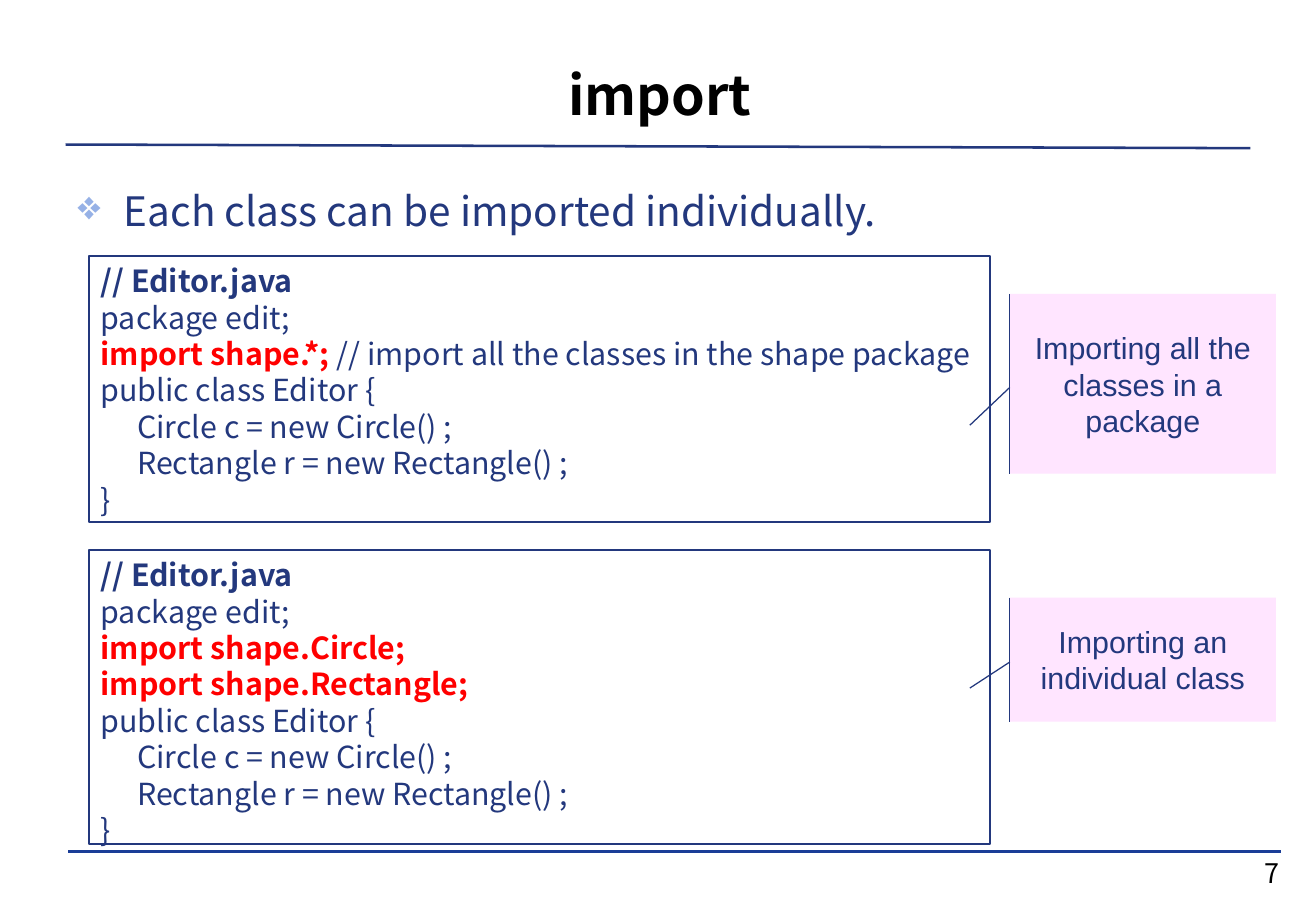
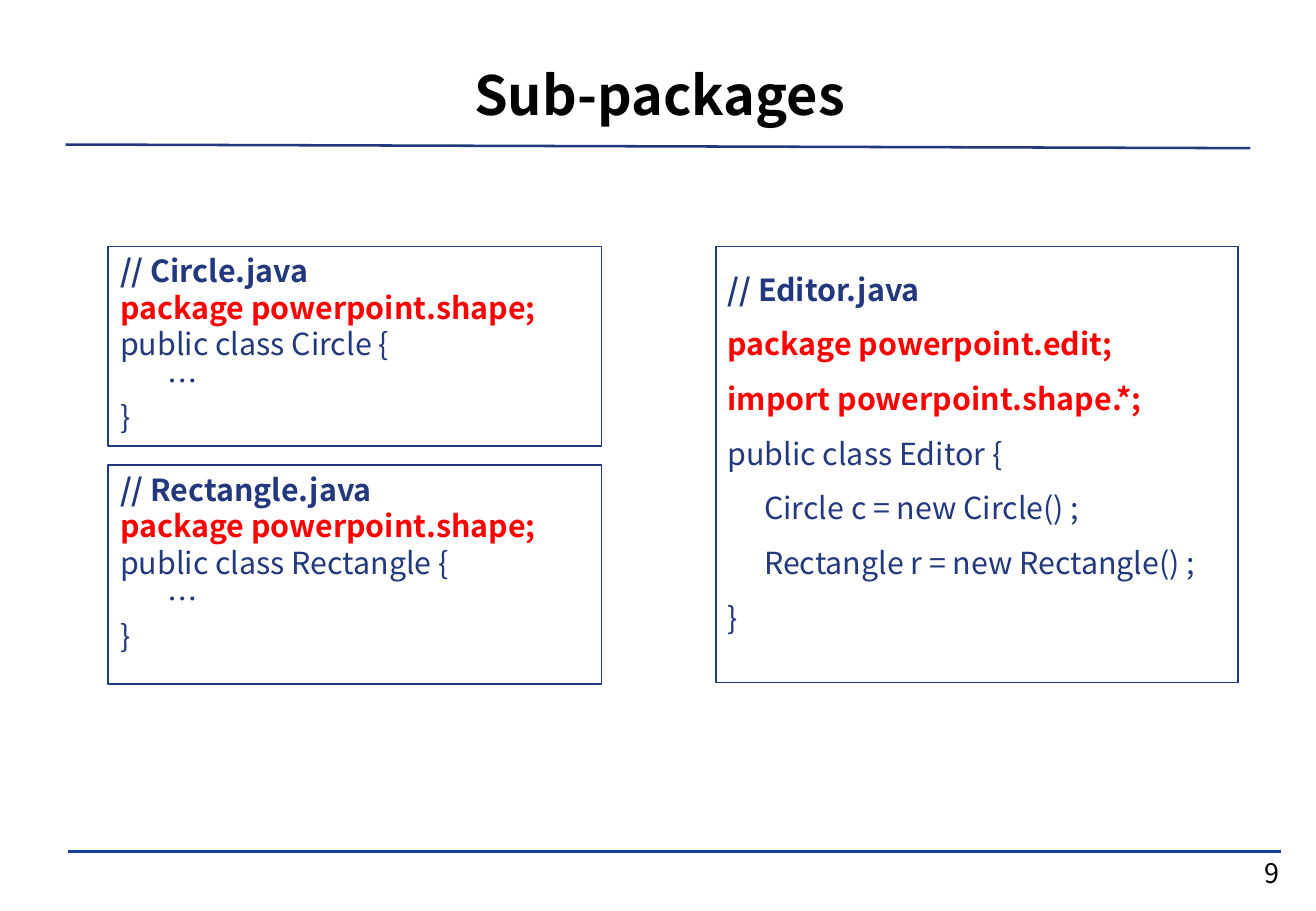
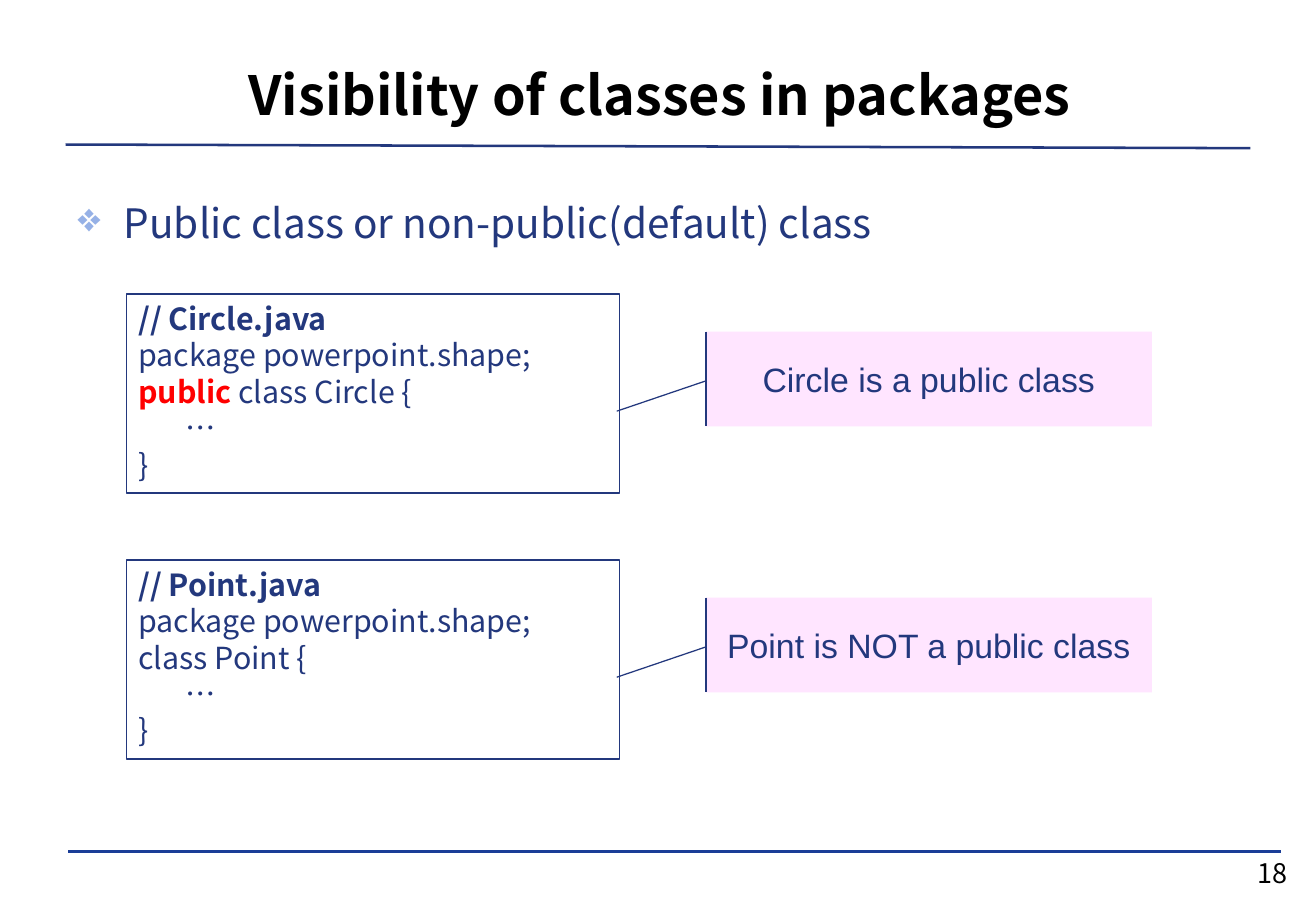
"""Build three slides about Java packages, imports and class visibility."""
import pptx
import pptx.dml.color
import pptx.enum.shapes
import pptx.enum.text
import pptx.oxml
import pptx.oxml.ns
import pptx.util

Inches, Pt = pptx.util.Inches, pptx.util.Pt
SHAPE = pptx.enum.shapes.MSO_SHAPE
ALIGN = pptx.enum.text.PP_ALIGN
ANCHOR = pptx.enum.text.MSO_ANCHOR

COLORS = {"navy": "23387D", "red": "FF0000", "black": "000000",
          "bullet": "96B1E6", "rule": "1A3D97", "callout": "FF9BFF"}
CODE_FONT, CALLOUT_FONT = "Noto Sans CJK KR", "Arial"
STYLES = {
    "title": {"size": 32, "bold": True, "color": "black", "name": CODE_FONT},
    "number": {"size": 16, "color": "black", "name": CODE_FONT},
    "bullet": {"size": 24, "color": "navy", "name": CODE_FONT},
    "code": {"size": 18, "bold": False, "color": "navy", "name": CODE_FONT},
    "file": {"size": 18, "bold": True, "color": "navy", "name": CODE_FONT},
    "key": {"size": 18, "bold": True, "color": "red", "name": CODE_FONT},
    "callout_small": {"size": 18, "color": "navy", "name": CALLOUT_FONT},
    "callout_large": {"size": 20, "color": "navy", "name": CALLOUT_FONT},
}
RULES = [((0.56, 7.01), (10.54, 7.01), "rule", 0),
         ((0.54, 1.19), (10.29, 1.22), "navy", 1.5)]
CODE_TAB, ELLIPSIS_TAB = 0.3, 0.39

EDITOR_BODY = ["public class Editor {", "\tCircle c = new Circle() ;",
               "\tRectangle r = new Rectangle() ;", "}"]
CLASS_END = ["\t…", "}"]
SHAPE_PACKAGE = "package powerpoint.shape;"

PAGES = [
    {"title": "import", "number": "7",
     "bullet": ("Each class can be imported individually.", (0.54, 1.48, 9.75, 0.45)),
     "code": [
         {"at": (0.73, 2.11, 7.42, 2.19), "lines": [
             [("// Editor.java", "file")], "package edit;",
             [("import shape.*;", "key"),
              (" // import all the classes in the shape package", "code")],
             *EDITOR_BODY]},
         {"at": (0.73, 4.53, 7.42, 2.42), "lines": [
             [("// Editor.java", "file")], "package edit;",
             [("import shape.Circle;", "key")],
             [("import shape.Rectangle;", "key")], *EDITOR_BODY]}],
     "callouts": [("Importing all the classes in a package", (8.31, 2.42, 2.19, 1.48)),
                  ("Importing an individual class", (8.31, 4.92, 2.19, 1.02))],
     "callout_style": "callout_small", "pointer": (0.52, 0, 0.73, -0.15)},
    {"title": "Sub-packages", "number": "9",
     "code": [
         {"at": (0.89, 2.03, 4.06, 1.64), "lines": [
             [("// Circle.java", "file")], [(SHAPE_PACKAGE, "key")],
             "public class Circle {", *CLASS_END]},
         {"at": (0.89, 3.83, 4.06, 1.8), "lines": [
             [("// Rectangle.java", "file")], [(SHAPE_PACKAGE, "key")],
             "public class Rectangle {", *CLASS_END]},
         {"at": (5.89, 2.03, 4.3, 3.59), "spacing": 1.5, "lines": [
             [("// Editor.java", "file")], [("package powerpoint.edit;", "key")],
             [("import powerpoint.shape.*;", "key")], *EDITOR_BODY]}]},
    {"title": "Visibility of classes in packages", "number": "18",
     "bullet": ("Public class or non-public(default) class", (0.54, 1.58, 9.75, 0.6)),
     "code": [
         {"at": (1.04, 2.42, 4.06, 1.64), "lines": [
             [("// Circle.java", "file")], SHAPE_PACKAGE,
             [("public", "key"), (" class Circle {", "code")], *CLASS_END]},
         {"at": (1.04, 4.61, 4.06, 1.64), "lines": [
             [("// Point.java", "file")], SHAPE_PACKAGE,
             "class Point {", *CLASS_END]}],
     "callouts": [("Circle is a public class", (5.81, 2.73, 3.67, 0.78)),
                  ("Point is NOT a public class", (5.81, 4.92, 3.67, 0.78))],
     "callout_style": "callout_large", "pointer": (0.52, 0, 0.84, -0.2)},
]


def rgb(color):
    return pptx.dml.color.RGBColor.from_string(COLORS[color])


def add_element(parent, tag, **attributes):
    element = pptx.oxml.parse_xml(f"<{tag} {pptx.oxml.ns.nsdecls('a')}/>")
    for name, value in attributes.items():
        element.set(name, str(value))
    parent.append(element)
    return element


def write_span(para, text, style):
    span = para.add_run()
    span.text = text
    for name, value in STYLES[style].items():
        if name == "color":
            span.font.color.rgb = rgb(value)
        else:
            setattr(span.font, name, Pt(value) if name == "size" else value)
    add_element(span.font._element, "a:ea", typeface=STYLES[style]["name"])


def format_frame(box, **formats):
    defaults = {"word_wrap": True, "vertical_anchor": ANCHOR.TOP,
                "auto_size": pptx.enum.text.MSO_AUTO_SIZE.NONE}
    for name, value in {**defaults, **formats}.items():
        setattr(box.text_frame, name, value)
    return box.text_frame


def write_line(frame, text, style, alignment):
    para = frame.paragraphs[0]
    para.alignment = alignment
    write_span(para, text, style)
    return para


def add_panel(page, kind, at, width):
    box = page.shapes.add_shape(kind, *map(Inches, at))
    box.shadow.inherit = False
    box.line.color.rgb = rgb("navy")
    box.line.width = Pt(width)
    return box


def add_rule(page, start, end, color, width):
    rule = page.shapes.add_connector(
        pptx.enum.shapes.MSO_CONNECTOR.STRAIGHT, *map(Inches, start + end))
    rule.line.color.rgb = rgb(color)
    rule.line.width = Pt(width)
    add_element(rule._element.spPr, "a:effectLst")


def add_frame(deck, title, number):
    page = deck.slides.add_slide(deck.slide_layouts[5])
    for rule in RULES:
        add_rule(page, *rule)
    box = page.shapes.title
    box.left, box.top, box.width, box.height = map(Inches, (0.56, 0.35, 9.74, 0.84))
    frame = format_frame(box, vertical_anchor=ANCHOR.MIDDLE)
    write_line(frame, title, "title", ALIGN.CENTER)
    box = page.shapes.add_textbox(*map(Inches, (10.22, 7.05, 0.5, 0.27)))
    margins = dict.fromkeys(
        ("margin_left", "margin_top", "margin_right", "margin_bottom"), 0)
    frame = format_frame(box, vertical_anchor=ANCHOR.MIDDLE, **margins)
    write_line(frame, number, "number", ALIGN.CENTER)
    return page


def add_bullet(page, text, at):
    box = page.shapes.add_textbox(*map(Inches, at))
    para = write_line(format_frame(box), text, "bullet", ALIGN.LEFT)
    properties = para._p.get_or_add_pPr()
    properties.set("marL", str(Inches(0.38)))
    properties.set("indent", str(-Inches(0.38)))
    add_element(add_element(properties, "a:buClr"), "a:srgbClr", val=COLORS["bullet"])
    add_element(properties, "a:buChar", char="❖")


def add_code(page, at, lines, spacing=1.0):
    box = add_panel(page, SHAPE.RECTANGLE, at, 1)
    box.fill.background()
    frame = format_frame(box)
    for index, line in enumerate(lines):
        para = frame.add_paragraph() if index else frame.paragraphs[0]
        para.alignment = ALIGN.LEFT
        para.line_spacing = spacing
        spans = [(line, "code")] if isinstance(line, str) else line
        if spans[0][0].startswith("\t"):
            tab = ELLIPSIS_TAB if "…" in spans[0][0] else CODE_TAB
            tabs = add_element(para._p.get_or_add_pPr(), "a:tabLst")
            add_element(tabs, "a:tab", pos=Inches(tab), algn="l")
        for text, style in spans:
            write_span(para, text, style)


def add_callout(page, text, at, style, pointer):
    box = add_panel(page, SHAPE.LINE_CALLOUT_1_ACCENT_BAR, at, 0.75)
    for index, value in enumerate(pointer):
        box.adjustments[index] = value
    box.fill.solid()
    box.fill.fore_color.rgb = rgb("callout")
    fill = box._element.spPr.find(pptx.oxml.ns.qn("a:solidFill"))
    add_element(fill[0], "a:alpha", val=26000)
    frame = format_frame(box, vertical_anchor=ANCHOR.MIDDLE)
    write_line(frame, text, style, ALIGN.CENTER)


def main():
    deck = pptx.Presentation()
    deck.slide_width, deck.slide_height = Inches(10.83), Inches(7.5)
    for content in PAGES:
        page = add_frame(deck, content["title"], content["number"])
        if "bullet" in content:
            add_bullet(page, *content["bullet"])
        for code in content["code"]:
            add_code(page, **code)
        for text, at in content.get("callouts", []):
            add_callout(page, text, at, content["callout_style"], content["pointer"])
    deck.save("out.pptx")


if __name__ == "__main__":
    main()
